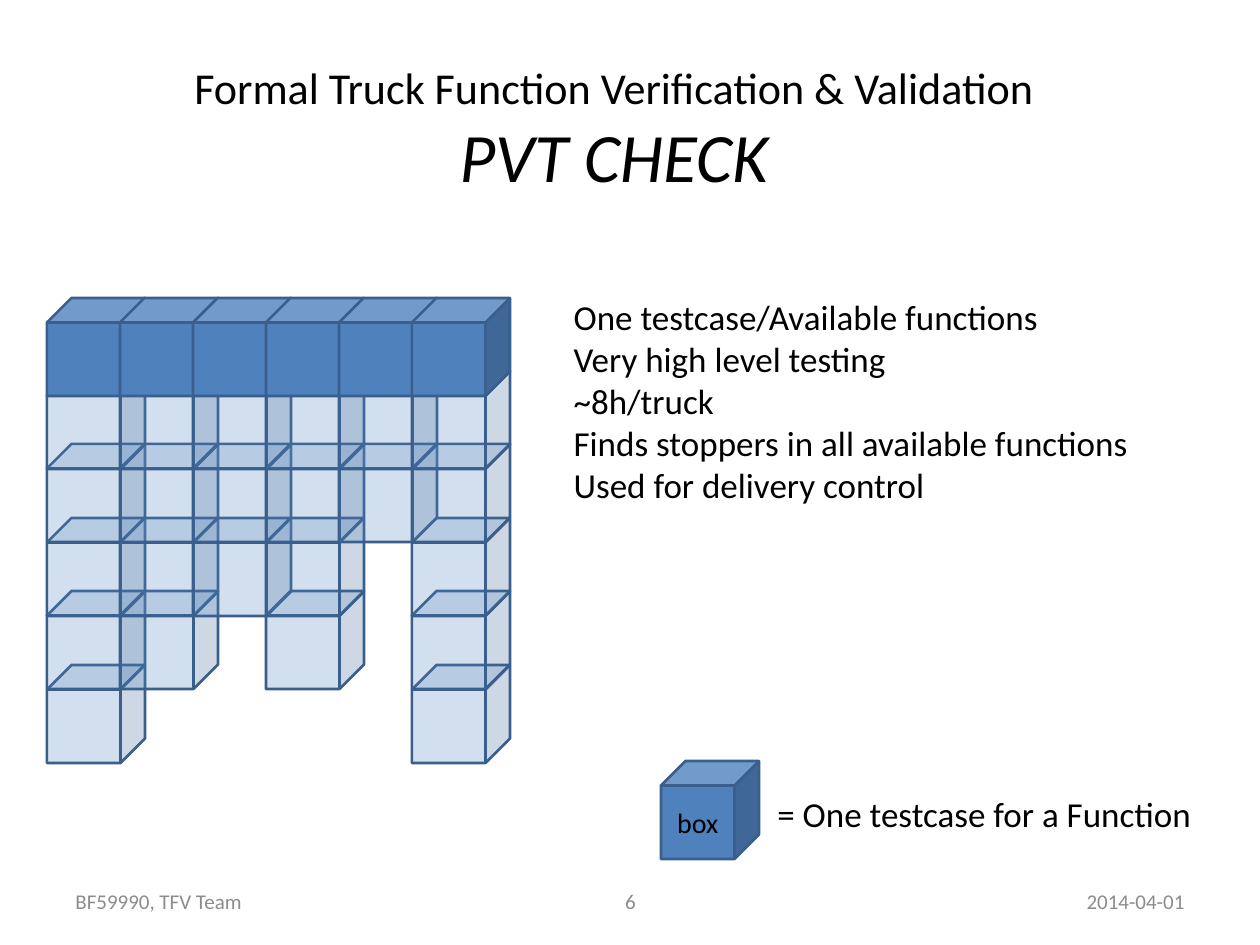
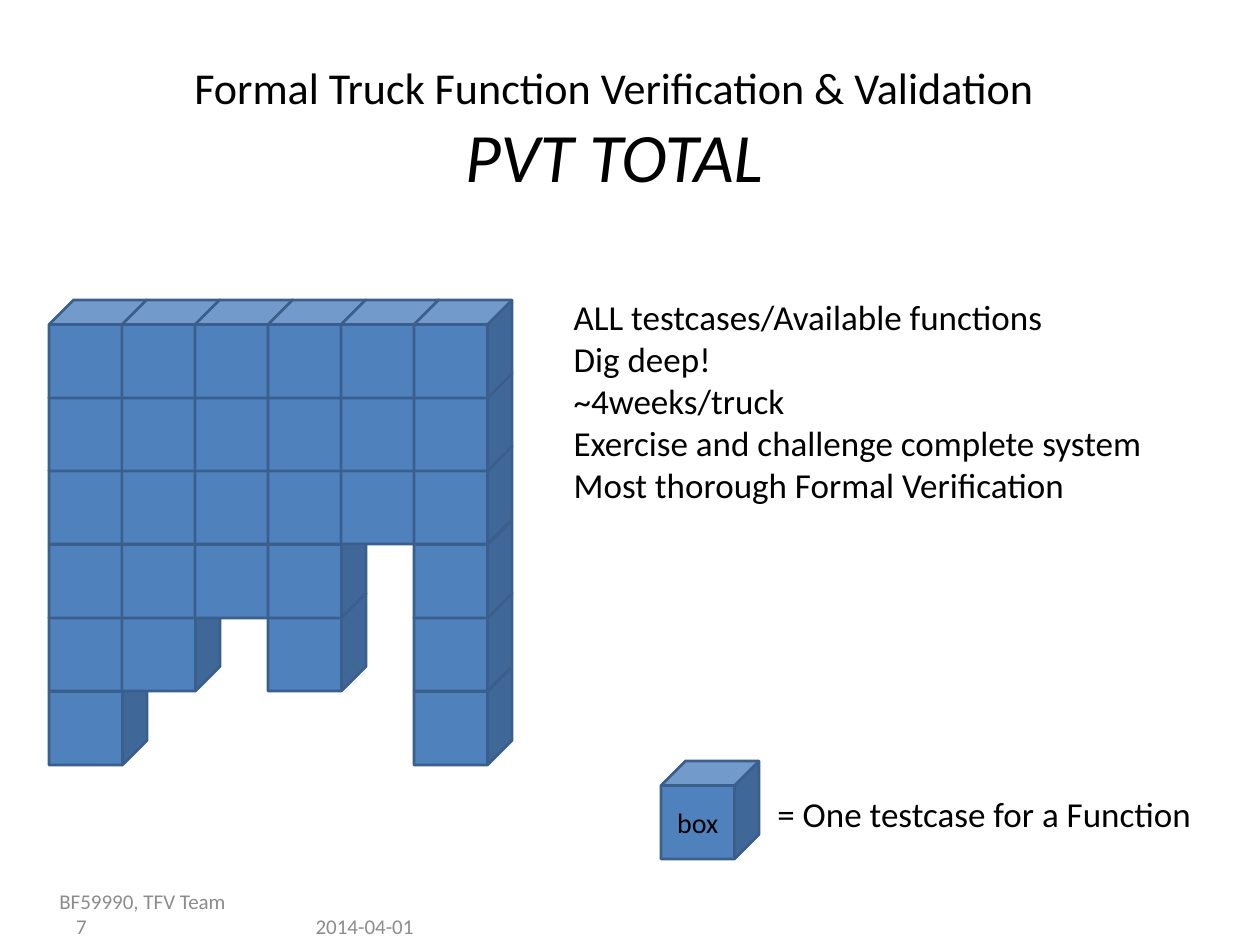
from lxml import etree
from pptx import Presentation
from pptx.dml.color import RGBColor
from pptx.enum.shapes import MSO_SHAPE
from pptx.enum.text import MSO_ANCHOR, MSO_AUTO_SIZE, PP_ALIGN
from pptx.oxml.ns import qn
from pptx.util import Emu, Pt

CUBE = MSO_SHAPE.CUBE
LEFT, CENTER, RIGHT = PP_ALIGN.LEFT, PP_ALIGN.CENTER, PP_ALIGN.RIGHT
TOP, MIDDLE = MSO_ANCHOR.TOP, MSO_ANCHOR.MIDDLE
NO_FIT = MSO_AUTO_SIZE.NONE

PX = 914400 / 126
COLORS = {"cube": "4F81BD", "edge": "3A5F8C", "text": "000000", "footer": "8C8C8C"}
FONT = "Calibri"
HEADING = "Formal Truck Function Verification & Validation"
HEADING_SIZE, PHASE_SIZE = 25.2, 39.6

# Wall of test cases: cubes below each function, evenly spread
COLUMN_DEPTHS = [6, 5, 4, 5, 3, 6]
CUBE_SIZE = 98
WALL_WIDTH, WALL_HEIGHT, WALL_STEPS = 365, 367, 5

SLIDES = [
    {
        "phase": "PVT CHECK",
        "facts": ["One testcase/Available functions", "Very high level testing",
                  "~8h/truck", "Finds stoppers in all available functions",
                  "Used for delivery control"],
        "wall": (47, 298),
        "tested_rows": 1,
        "number": "6",
        "footers": [(63, 876, 294, 50), (431, 876, 399, 50), (903, 876, 294, 50)],
    },
    {
        "phase": "PVT TOTAL",
        "facts": ["ALL testcases/Available functions", "Dig deep!",
                  "~4weeks/truck", "Exercise and challenge complete system",
                  "Most thorough Formal Verification"],
        "wall": (49, 300),
        "tested_rows": 6,
        "number": "7",
        "footers": [(47, 886, 948, 30), (47, 912, 69, 29), (95, 912, 331, 29)],
    },
]


def write(box, lines, size, color="text", align=LEFT, anchor=TOP):
    frame = box.text_frame
    frame.word_wrap = True
    frame.auto_size = NO_FIT
    frame.vertical_anchor = anchor
    frame.text = "\n".join(lines)
    for paragraph in frame.paragraphs:
        paragraph.alignment = align
        paragraph.space_before = Pt(0)
        paragraph.font.name = FONT
        paragraph.font.size = Pt(size)
        paragraph.font.color.rgb = RGBColor.from_string(COLORS[color])


def add_cube(shapes, left, top, opaque=True):
    cube = shapes.add_shape(CUBE, *(Emu(int(v * PX)) for v in (left, top, CUBE_SIZE, CUBE_SIZE)))
    cube.shadow.inherit = False
    cube.fill.solid()
    cube.fill.fore_color.rgb = RGBColor.from_string(COLORS["cube"])
    cube.line.color.rgb = RGBColor.from_string(COLORS["edge"])
    cube.line.width = Pt(1.5)
    if not opaque:
        color = cube._element.spPr.find(qn("a:solidFill"))[0]
        etree.SubElement(color, qn("a:alpha"), val="25000")
    return cube


deck = Presentation()
deck.slide_width, deck.slide_height = Emu(int(1260 * PX)), Emu(int(945 * PX))

for content in SLIDES:
    page = deck.slides.add_slide(deck.slide_layouts[1])

    # Title: heading and test phase on two lines
    title = page.shapes.title
    title.left, title.top, title.width, title.height = (
        Emu(int(v * PX)) for v in (47, 49, 1134, 158))
    frame = title.text_frame
    frame.auto_size = NO_FIT
    frame.vertical_anchor = MIDDLE
    paragraph = frame.paragraphs[0]
    paragraph.alignment = CENTER
    heading = paragraph.add_run()
    heading.text = HEADING
    paragraph.add_line_break()
    line_break = paragraph._p.find(qn("a:br"))
    etree.SubElement(line_break, qn("a:rPr"), sz=str(int(HEADING_SIZE * 100)))
    phase = paragraph.add_run()
    phase.text = content["phase"]
    phase.font.italic = True
    for span, size in ((heading, HEADING_SIZE), (phase, PHASE_SIZE)):
        span.font.name = FONT
        span.font.size = Pt(size)
        span.font.color.rgb = RGBColor.from_string(COLORS["text"])

    # Facts about the phase, without bullets
    facts = page.placeholders[1]
    facts.left, facts.top, facts.width, facts.height = (
        Emu(int(v * PX)) for v in (561, 289, 674, 224))
    facts.text_frame.text = "\n".join(content["facts"])
    write(facts, content["facts"], 20)
    for paragraph in facts.text_frame.paragraphs:
        properties = paragraph._p.get_or_add_pPr()
        properties.set("marL", "0")
        properties.set("indent", "0")
        properties.find(qn("a:defRPr")).addprevious(etree.Element(qn("a:buNone")))

    # Wall, built from the bottom row up
    wall = page.shapes.add_group_shape()
    wall_left, wall_top = content["wall"]
    for row in reversed(range(max(COLUMN_DEPTHS))):
        for column, depth in enumerate(COLUMN_DEPTHS):
            if row < depth:
                add_cube(wall.shapes,
                         wall_left + WALL_WIDTH * column // WALL_STEPS,
                         wall_top + WALL_HEIGHT * row // WALL_STEPS,
                         row < content["tested_rows"])

    # Legend
    sample = add_cube(page.shapes, 661, 761)
    write(sample, ["box"], 16, align=CENTER, anchor=MIDDLE)
    label = page.shapes.add_textbox(*(Emu(int(v * PX)) for v in (765, 786, 494, 55)))
    write(label, ["= One testcase for a Function"], 20)

    # Footers
    footer_texts = ["BF59990, TFV Team", content["number"], "2014-04-01"]
    for text, place, align in zip(footer_texts, content["footers"], (LEFT, CENTER, RIGHT)):
        footer = page.shapes.add_textbox(*(Emu(int(v * PX)) for v in place))
        write(footer, [text], 12, "footer", align, MIDDLE)

deck.save("out.pptx")
